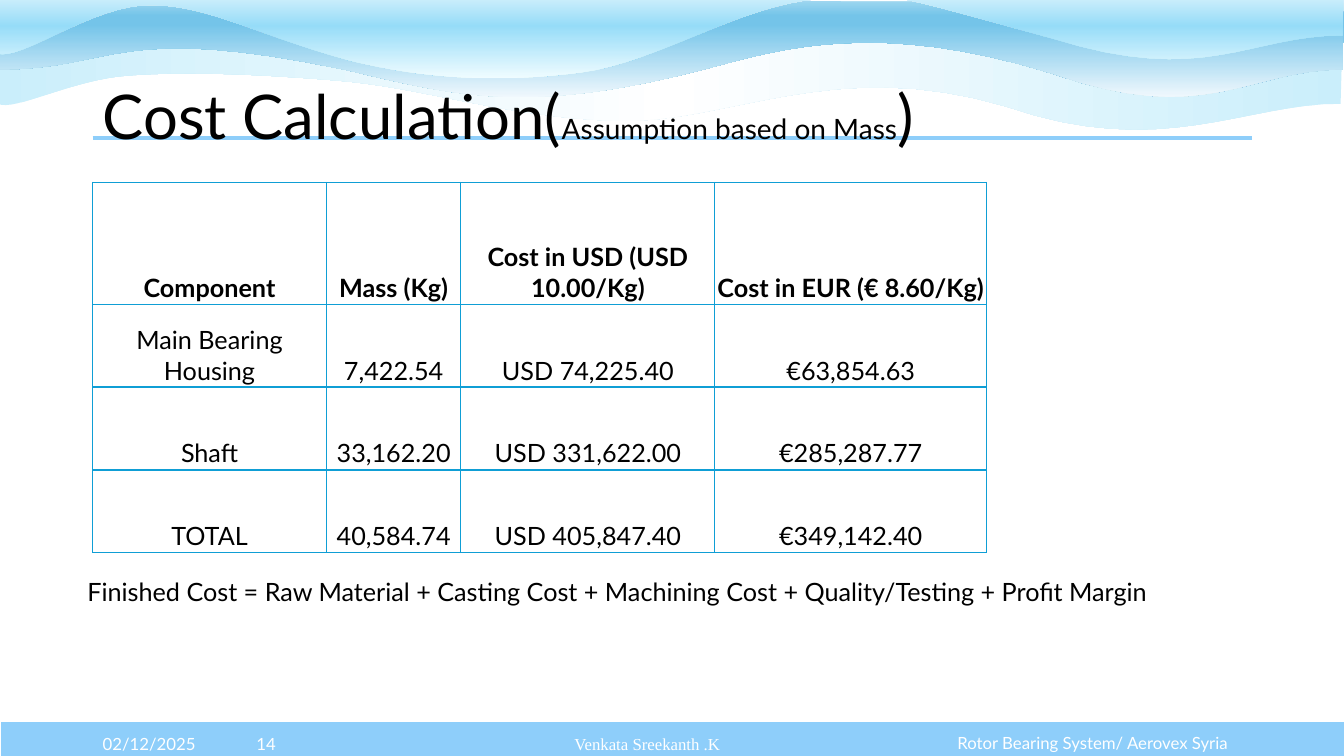
from dataclasses import dataclass
from typing import Any

import lxml.etree
import pptx
import pptx.dml.color
import pptx.enum.shapes
import pptx.enum.text
import pptx.oxml.ns
import pptx.util

Pt = pptx.util.Pt
qn = pptx.oxml.ns.qn
ALIGN = pptx.enum.text.PP_ALIGN
ANCHOR = pptx.enum.text.MSO_ANCHOR
NO_AUTOFIT = pptx.enum.text.MSO_AUTO_SIZE.NONE
SKY, BORDER, WHITE, BLACK = "8ECEFA", "0F9ED5", "FFFFFF", "000000"
CURVE_STEPS = 16

Point = tuple[float, float]


@dataclass
class Wave:
    start: Point
    curves: list[tuple[Point, Point, Point]]
    top: list[Point]
    stops: list[tuple[int, str]]
    angle: int


@dataclass
class Label:
    text: str
    left: float
    top: float
    width: float
    height: float
    size: float = 12
    color: str = WHITE
    font: str = "Lato"
    align: Any = ALIGN.LEFT
    anchor: Any = ANCHOR.MIDDLE
    spacing: float = 1.0


WAVES = [
    Wave((957.6, 74.2), [
        ((890.6, 73.4), (829.4, 114.5), (719.3, 76.3)),
        ((595.4, 38.9), (519.1, 89.3), (439.2, 86.4)),
        ((359.3, 83.5), (303.1, 62.6), (241.2, 57.6)),
        ((179.3, 52.6), (131.8, 51.1), (91.4, 54)),
        ((51.1, 56.9), (10.1, 79.9), (-1.4, 74.2)),
    ], [(-2.9, 21.6), (959, 24.5)],
        [(0, "CAEEFB"), (50, "FFFFFF"), (100, "CAEEFB")], 0),
    Wave((959, 49.7), [
        ((892.1, 49.7), (861.1, 91.4), (751.7, 52.6)),
        ((627.1, 13.7), (556.6, 35.3), (508.3, 48.2)),
        ((380.2, 82.1), (330.5, 69.8), (249.1, 50.4)),
        ((81.4, 15.1), (82.8, 49.7), (0, 49.7)),
    ], [(0.7, -0.7), (959.8, 2.2)],
        [(0, "A2D8F0"), (17, "74C4E9"), (26, "74C4E9"), (100, "F0F8FD")], 90),
    Wave((959, 25.2), [
        ((892.1, 25.2), (861.1, 61.9), (751.7, 27.4)),
        ((627.8, -6.5), (641.5, -5), (585.4, -0.7)),
        ((529.2, 2.9), (470.2, 44.6), (414.7, 51.8)),
        ((358.6, 59), (305.3, 56.9), (249.8, 43.2)),
        ((185.8, 25.9), (149, 3.6), (108, 3.6)),
        ((66.2, 2.9), (15.8, 43.9), (-2.2, 38.2)),
    ], [(0.7, -19.4), (959.8, -17.3)],
        [(0, "FFFFFF"), (50, "96DCF8"), (100, "EFFCFF")], 90),
]

LABELS = [
    Label("Rotor Bearing System/ Aerovex Syria", 669.6, 521.3, 221.8, 20.2,
          align=ALIGN.CENTER, spacing=0.9),
    Label("02/12/2025", 66.2, 517, 87.8, 28.8),
    Label("14", 153.4, 517, 73.4, 28.8, align=ALIGN.CENTER),
    Label("Venkata Sreekanth .K", 403.2, 504.7, 191.5, 53.3, font="Times New Roman"),
    Label("Finished Cost = Raw Material + Casting Cost + Machining Cost + "
          "Quality/Testing + Profit Margin", 55.4, 408.2, 833, 28.8,
          size=18, color=BLACK, anchor=ANCHOR.TOP),
]

COSTS = [
    ["Component", "Mass (Kg)", "Cost in USD (USD 10.00/Kg)", "Cost in EUR (€ 8.60/Kg)"],
    ["Main Bearing Housing", "7,422.54", "USD 74,225.40", "€63,854.63"],
    ["Shaft", "33,162.20", "USD 331,622.00", "€285,287.77"],
    ["TOTAL", "40,584.74", "USD 405,847.40", "€349,142.40"],
]
COLUMN_WIDTHS = [167, 96, 181.5, 194]
ROW_HEIGHTS = [87, 59.2, 59.2, 59.2]


def rgb(value: str) -> pptx.dml.color.RGBColor:
    return pptx.dml.color.RGBColor.from_string(value)


def apply(target: Any, values: dict[str, Any]) -> None:
    for name, value in values.items():
        setattr(target, name, value)


def add_span(para: Any, text: str, size: float, color: str,
             font: str = "Lato", bold: bool = False) -> None:
    span = para.add_run()
    span.text = text
    apply(span.font, {"name": font, "size": Pt(size), "bold": bold})
    span.font.color.rgb = rgb(color)


def curve_points(start: Point, first: Point, second: Point, end: Point) -> list[Point]:
    points = []
    for step in range(1, CURVE_STEPS + 1):
        t = step / CURVE_STEPS
        weights = ((1 - t) ** 3, 3 * t * (1 - t) ** 2, 3 * t * t * (1 - t), t ** 3)
        x, y = (sum(weight * point[axis] for weight, point
                    in zip(weights, (start, first, second, end))) for axis in (0, 1))
        points.append((x, y))
    return points


def add_wave(page: Any, wave: Wave) -> None:
    points, last = [], wave.start
    for curve in wave.curves:
        points += curve_points(last, *curve)
        last = curve[-1]
    builder = page.shapes.build_freeform(Pt(wave.start[0]), Pt(wave.start[1]))
    builder.add_line_segments([(Pt(x), Pt(y)) for x, y in points + wave.top], close=True)
    shape = builder.convert_to_shape()
    shape.shadow.inherit = False
    shape.line.fill.background()
    shape.fill.gradient()
    gradient = shape._element.spPr.find(qn("a:gradFill"))
    gradient.find(qn("a:lin")).set("ang", str(wave.angle * 60000))
    stop_list = gradient.find(qn("a:gsLst"))
    for stop in list(stop_list):
        stop_list.remove(stop)
    for position, color in wave.stops:
        stop = lxml.etree.SubElement(stop_list, qn("a:gs"), pos=str(position * 1000))
        lxml.etree.SubElement(stop, qn("a:srgbClr"), val=color)


def add_footer_bar(page: Any) -> None:
    bar = page.shapes.add_shape(pptx.enum.shapes.MSO_SHAPE.RECTANGLE,
                                Pt(0), Pt(514.8), Pt(961.2), Pt(28.8))
    bar.shadow.inherit = False
    bar.fill.solid()
    bar.fill.fore_color.rgb = rgb(SKY)
    bar.line.color.rgb = rgb(WHITE)
    bar.line.width = Pt(1.5)


def add_title_rule(page: Any) -> None:
    rule = page.shapes.add_connector(pptx.enum.shapes.MSO_CONNECTOR.STRAIGHT,
                                     Pt(66.2), Pt(98.6), Pt(894.2), Pt(98.6))
    rule.line.color.rgb = rgb(SKY)
    rule.line.width = Pt(3)
    lxml.etree.SubElement(rule._element.spPr, qn("a:effectLst"))


def add_title(page: Any) -> None:
    title = page.shapes.title
    title._element.getparent().append(title._element)
    apply(title, {"left": Pt(66.2), "top": Pt(33.1), "width": Pt(869), "height": Pt(104.4)})
    apply(title.text_frame, {"auto_size": NO_AUTOFIT, "word_wrap": True,
                             "vertical_anchor": ANCHOR.MIDDLE})
    para = title.text_frame.paragraphs[0]
    apply(para, {"alignment": ALIGN.LEFT, "line_spacing": 0.9})
    for text, size in (("Cost Calculation(", 44), ("Assumption based on Mass", 20), (")", 44)):
        add_span(para, text, size, BLACK)


def add_label(page: Any, label: Label) -> None:
    box = page.shapes.add_textbox(Pt(label.left), Pt(label.top),
                                  Pt(label.width), Pt(label.height))
    apply(box.text_frame, {"word_wrap": True, "vertical_anchor": label.anchor})
    para = box.text_frame.paragraphs[0]
    apply(para, {"alignment": label.align, "line_spacing": label.spacing})
    add_span(para, label.text, label.size, label.color, label.font)


def format_cell(cell: Any, text: str, bold: bool) -> None:
    apply(cell, {"margin_left": Pt(1.2), "margin_right": Pt(1.2), "margin_top": Pt(1.2),
                 "margin_bottom": Pt(1.2), "vertical_anchor": ANCHOR.BOTTOM})
    properties = cell._tc.get_or_add_tcPr()
    for side in ("lnL", "lnR", "lnT", "lnB"):
        border = lxml.etree.SubElement(properties, qn(f"a:{side}"), w=str(Pt(1)))
        fill = lxml.etree.SubElement(border, qn("a:solidFill"))
        lxml.etree.SubElement(fill, qn("a:srgbClr"), val=BORDER)
    cell.fill.background()
    para = cell.text_frame.paragraphs[0]
    para.alignment = ALIGN.CENTER
    add_span(para, text, 18, BLACK, bold=bold)


def add_cost_table(page: Any) -> None:
    table = page.shapes.add_table(len(COSTS), len(COLUMN_WIDTHS), Pt(66.2), Pt(130.3),
                                  Pt(sum(COLUMN_WIDTHS)), Pt(sum(ROW_HEIGHTS))).table
    apply(table, {"first_row": False, "horz_banding": False})
    for column, width in zip(table.columns, COLUMN_WIDTHS):
        column.width = Pt(width)
    for index, (row, height, texts) in enumerate(zip(table.rows, ROW_HEIGHTS, COSTS)):
        row.height = Pt(height)
        for cell, text in zip(row.cells, texts):
            format_cell(cell, text, bold=index == 0)


def main() -> None:
    deck = pptx.Presentation()
    apply(deck, {"slide_width": Pt(960), "slide_height": Pt(540)})
    page = deck.slides.add_slide(deck.slide_layouts.get_by_name("Title Only"))
    add_footer_bar(page)
    for wave in WAVES:
        add_wave(page, wave)
    add_title_rule(page)
    add_title(page)
    add_cost_table(page)
    for label in LABELS:
        add_label(page, label)
    deck.save("out.pptx")


if __name__ == "__main__":
    main()
